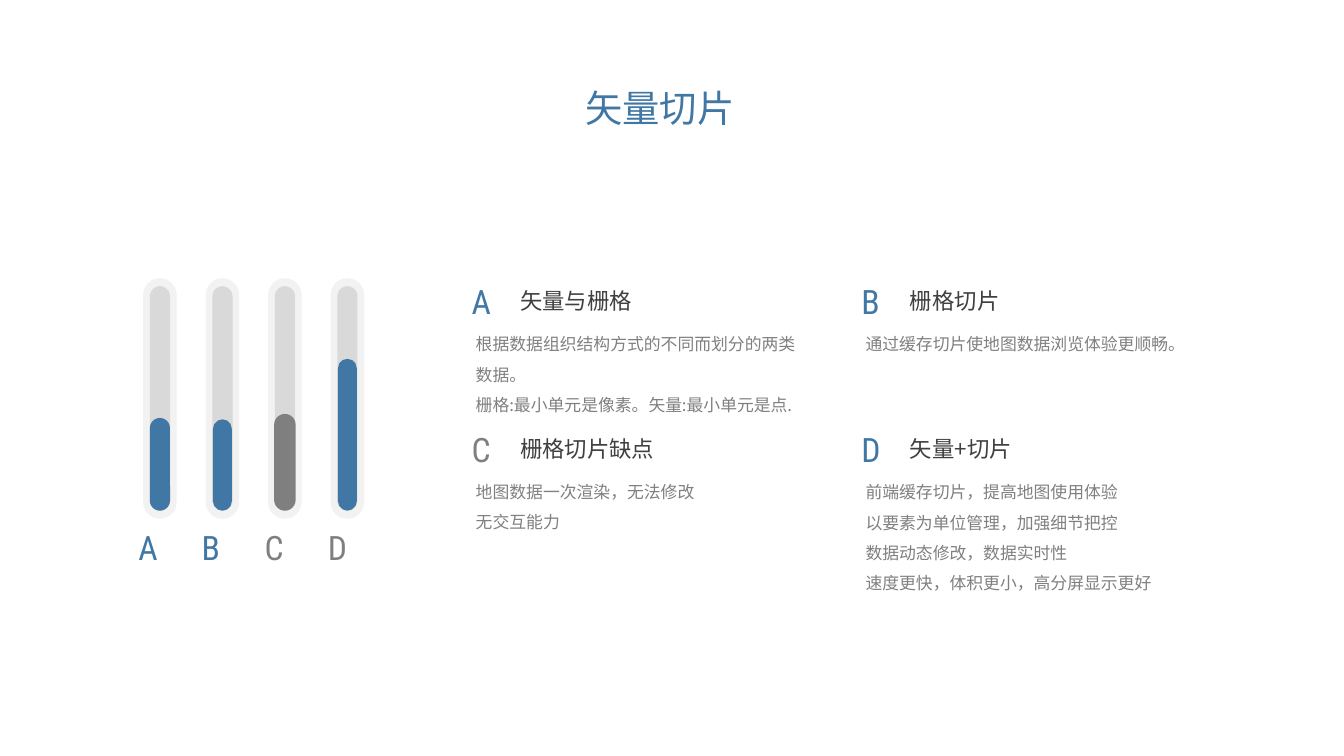
from pptx import Presentation
from pptx.dml.color import RGBColor
from pptx.enum.shapes import MSO_SHAPE
from pptx.enum.text import MSO_ANCHOR, MSO_AUTO_SIZE, PP_ALIGN
from pptx.oxml.ns import qn
from pptx.util import Inches, Pt

BLUE, GRAY, DARK, BODY = "4077A5", "7F7F7F", "404040", "808080"
CJK = "Noto Sans CJK SC"
LETTER_FONT = "Roboto Condensed"


def rgb(color):
    return RGBColor.from_string(color)


def write(sp, box, text, size, font, color, align, margins, spacing=1.0):
    sp.left, sp.top, sp.width, sp.height = [Inches(v) for v in box]
    tf = sp.text_frame
    tf.text = text
    tf.word_wrap = True
    tf.auto_size = MSO_AUTO_SIZE.SHAPE_TO_FIT_TEXT
    tf.margin_left = tf.margin_right = Inches(margins[0])
    tf.margin_top = tf.margin_bottom = Inches(margins[1])
    for p in tf.paragraphs:
        p.alignment = align
        p.line_spacing = spacing
        for r in p.runs:
            r.font.size = Pt(size)
            r.font.name = font
            r.font.color.rgb = rgb(color)
            ea = r.font._element.makeelement(qn("a:ea"), {"typeface": CJK})
            r.font._element.find(qn("a:latin")).addnext(ea)


prs = Presentation()
prs.slide_width = Inches(10)
prs.slide_height = Inches(10 * 9 / 16)
s = prs.slides.add_slide(prs.slide_layouts[5])

title = s.shapes.title
write(title, (4.25, 0.58, 1.32, 0.44), "矢量切片", 20, "Calibri", BLUE,
      PP_ALIGN.CENTER, (0.1, 0.05))
title.text_frame.word_wrap = False
title.text_frame.vertical_anchor = MSO_ANCHOR.TOP

bars = [
    ("A", 0.15, 0.69, BLUE, BLUE),
    ("B", 0.14, 0.68, BLUE, BLUE),
    ("C", 0.16, 0.72, GRAY, GRAY),
    ("D", 0.14, 1.13, BLUE, GRAY),
]
for i, (letter, width, level, bar_color, letter_color) in enumerate(bars):
    center = 1.19 + 0.465 * i
    layers = [
        (0.25, 1.79, 3.86, "F2F2F2"),
        (0.15, 1.67, 3.8, "D9D9D9"),
        (width, level, 3.8, bar_color),
    ]
    for w, h, bottom, color in layers:
        sp = s.shapes.add_shape(MSO_SHAPE.ROUNDED_RECTANGLE, Inches(center - w / 2),
                                Inches(bottom - h), Inches(w), Inches(h))
        sp.adjustments[0] = 0.5
        sp.fill.solid()
        sp.fill.fore_color.rgb = rgb(color)
        sp.line.fill.background()
        sp.shadow.inherit = False
    write(s.shapes.add_textbox(0, 0, 0, 0), (0.99 + 0.47 * i, 3.9, 0.4, 0.34), letter,
          18, LETTER_FONT, letter_color, PP_ALIGN.JUSTIFY, (0.04, 0.02))

topics = [
    ("A", BLUE, "矢量与栅格", ["根据数据组织结构方式的不同而划分的两类数据。",
                          "栅格:最小单元是像素。矢量:最小单元是点."]),
    ("B", BLUE, "栅格切片", ["通过缓存切片使地图数据浏览体验更顺畅。"]),
    ("C", GRAY, "栅格切片缺点", ["地图数据一次渲染，无法修改", "无交互能力"]),
    ("D", BLUE, "矢量+切片", ["前端缓存切片，提高地图使用体验",
                          "以要素为单位管理，加强细节把控",
                          "数据动态修改，数据实时性",
                          "速度更快，体积更小，高分屏显示更好"]),
]
for i, (letter, color, heading, lines) in enumerate(topics):
    x = 3.47 + 2.9 * (i % 2)
    y = 2.07 + 1.1 * (i // 2)
    rows = 3 if i == 0 else len(lines)
    parts = [
        ((x, y, 0.4, 0.34), letter, 18, LETTER_FONT, color,
         PP_ALIGN.JUSTIFY, (0.04, 0.02)),
        ((x + 0.33, y + 0.03, 1.48, 0.28), heading, 12, CJK, DARK,
         PP_ALIGN.JUSTIFY, (0.07, 0.04)),
        ((x, y + 0.3, 2.63, 0.07 + 0.23 * rows), "\n".join(lines), 9, CJK, BODY,
         PP_ALIGN.LEFT, (0.07, 0.04), 1.5),
    ]
    for part in parts:
        write(s.shapes.add_textbox(0, 0, 0, 0), *part)

prs.save("out.pptx")
